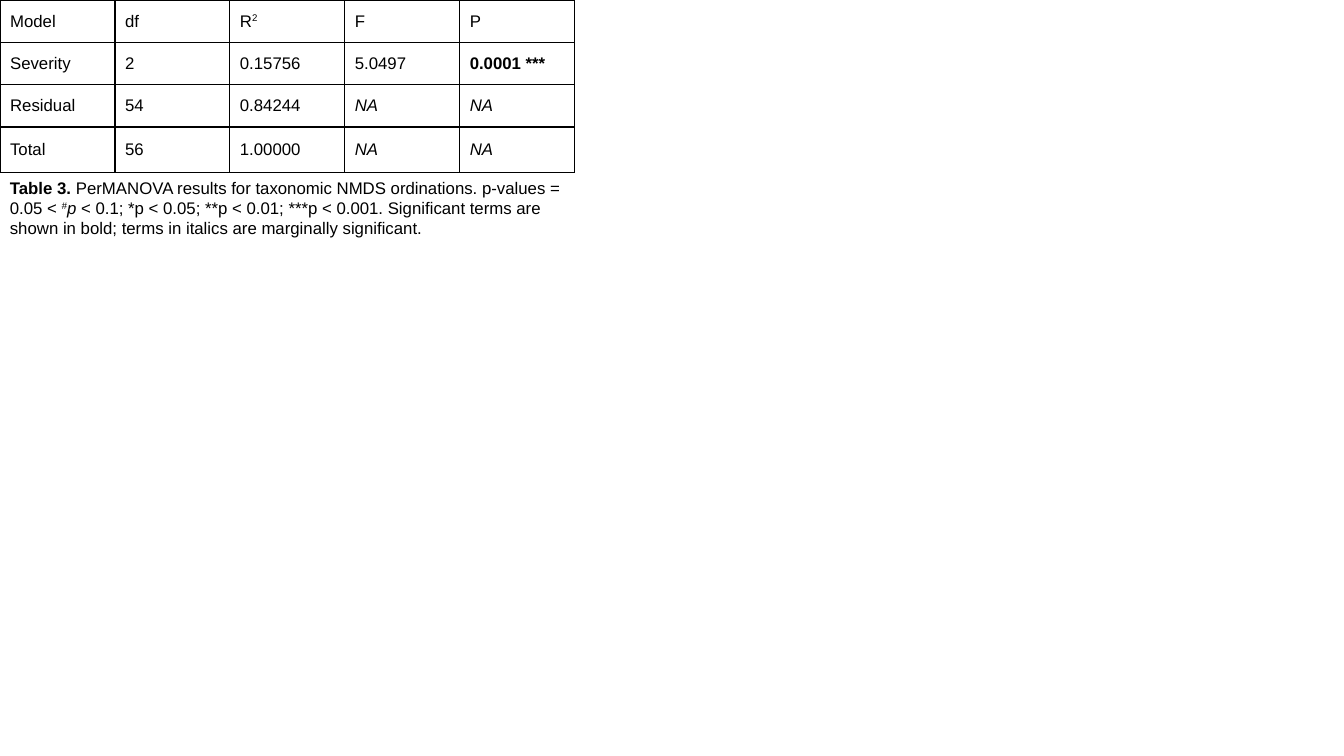
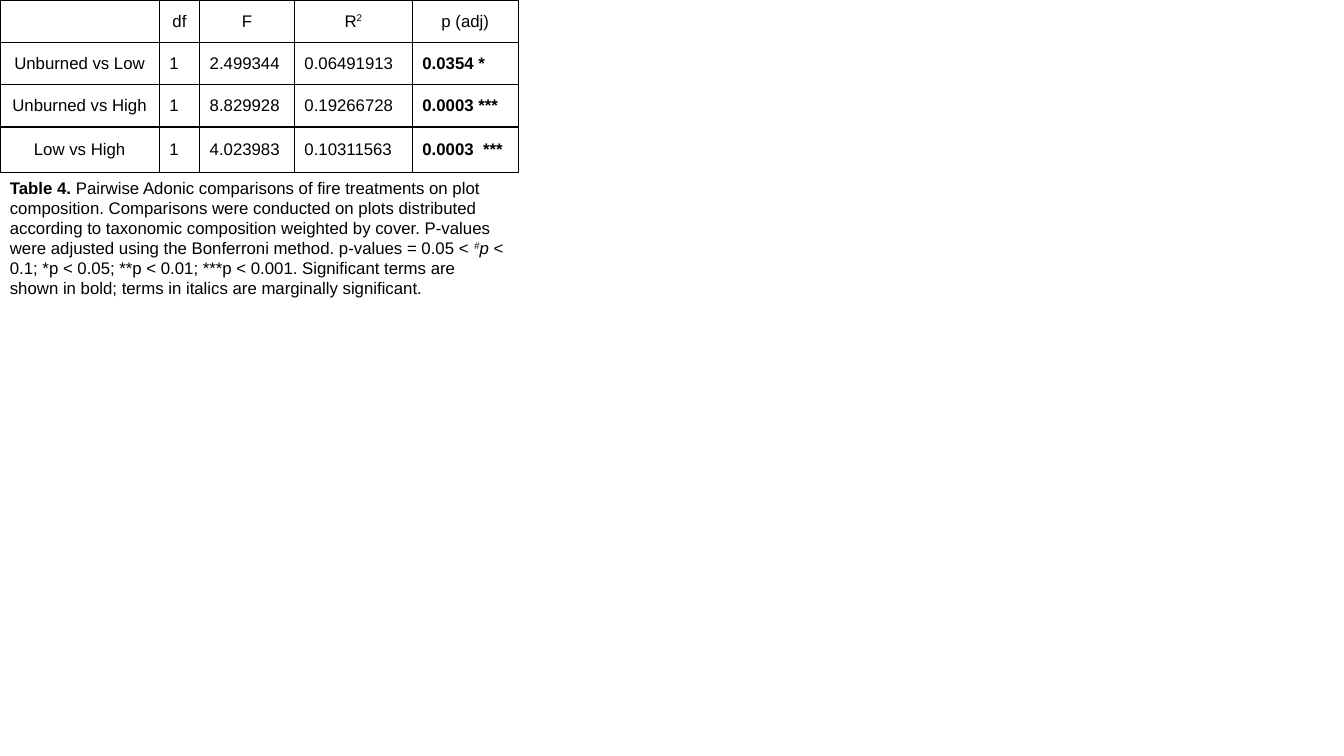
from lxml import etree
from pptx import Presentation, util as u
from pptx.dml.color import RGBColor
from pptx.enum import text
from pptx.oxml import ns

BLACK = RGBColor(0x00, 0x00, 0x00)
FONT = "Arial"
SIZE = u.Pt(12)
MARGIN = u.Inches(0.1)
ROWS = [0.42, 0.42, 0.42, 0.45]
LEFT, CENTER = text.PP_ALIGN.LEFT, text.PP_ALIGN.CENTER

R2 = [("R", ""), ("2", "^")]
NA = [("NA", "i")]
LEGEND = [
    ("#", "i^"),
    ("p", "i"),
    (" < 0.1; *p < 0.05; **p < 0.01; ***p < 0.001. Signiﬁcant terms are "
     "shown in bold; terms in italics are marginally signiﬁcant.", ""),
]

TABLES = [
    {
        "cols": [1.14] * 5,
        "centered": False,
        "cells": [
            ["Model", "df", R2, "F", "P"],
            ["Severity", "2", "0.15756", "5.0497", [("0.0001 ***", "b")]],
            ["Residual", "54", "0.84244", NA, NA],
            ["Total", "56", "1.00000", NA, NA],
        ],
        "caption": [
            ("Table 3. ", "b"),
            ("PerMANOVA results for taxonomic NMDS ordinations. "
             "p-values = 0.05 < ", ""),
        ],
        "height": 0.71,
    },
    {
        "cols": [1.58, 0.4, 0.94, 1.17, 1.05],
        "centered": True,
        "cells": [
            ["", "df", "F", R2, "p (adj)"],
            ["Unburned vs Low", "1", "2.499344", "0.06491913", [("0.0354 *", "b")]],
            ["Unburned vs High", "1", "8.829928", "0.19266728", [("0.0003 ***", "b")]],
            ["Low vs High", "1", "4.023983", "0.10311563", [("0.0003  ***", "b")]],
        ],
        "caption": [
            ("Table 4. ", "b"),
            ("Pairwise Adonic comparisons of fire treatments on plot composition. "
             "Comparisons were conducted on plots distributed according to "
             "taxonomic composition weighted by cover. P-values were adjusted "
             "using the Bonferroni method. p-values = 0.05 < ", ""),
        ],
        "height": 1.31,
    },
]


def add_runs(p, runs):
    for words, style in runs:
        r = p.add_run()
        r.text = words
        r.font.name, r.font.size = FONT, SIZE
        r.font.color.rgb = BLACK
        r.font.bold, r.font.italic = "b" in style, "i" in style
        if "^" in style:
            r.font._element.set("baseline", "30000")


def add_borders(cell):
    tc_pr = cell._tc.get_or_add_tcPr()
    for side in ("lnL", "lnR", "lnT", "lnB"):
        ln = etree.SubElement(tc_pr, ns.qn(f"a:{side}"), w=str(u.Pt(1)))
        fill = etree.SubElement(ln, ns.qn("a:solidFill"))
        etree.SubElement(fill, ns.qn("a:srgbClr"), val=str(BLACK))


prs = Presentation()
prs.slide_width, prs.slide_height = u.Inches(13.33), u.Inches(7.5)

for spec in TABLES:
    s = prs.slides.add_slide(prs.slide_layouts[6])
    width, height = u.Inches(sum(spec["cols"])), u.Inches(sum(ROWS))

    tbl = s.shapes.add_table(len(ROWS), len(spec["cols"]), 0, 0, width, height).table
    tbl.first_row = tbl.horz_banding = False
    for col, w in zip(tbl.columns, spec["cols"]):
        col.width = u.Inches(w)
    for row, h in zip(tbl.rows, ROWS):
        row.height = u.Inches(h)

    for i, line in enumerate(spec["cells"]):
        for j, content in enumerate(line):
            cell = tbl.cell(i, j)
            add_borders(cell)
            cell.fill.background()
            cell.vertical_anchor = text.MSO_ANCHOR.MIDDLE
            cell.margin_left = cell.margin_right = MARGIN
            cell.margin_top = cell.margin_bottom = MARGIN
            p = cell.text_frame.paragraphs[0]
            p.alignment = CENTER if spec["centered"] and 0 in (i, j) else LEFT
            if content:
                add_runs(p, [(content, "")] if isinstance(content, str) else content)
            else:
                etree.SubElement(p._p, ns.qn("a:endParaRPr"), sz="1200")

    sp = s.shapes.add_textbox(0, height, width, u.Inches(spec["height"]))
    tf = sp.text_frame
    tf.word_wrap = True
    tf.auto_size = text.MSO_AUTO_SIZE.SHAPE_TO_FIT_TEXT
    add_runs(tf.paragraphs[0], spec["caption"] + LEGEND)

prs.save("out.pptx")
